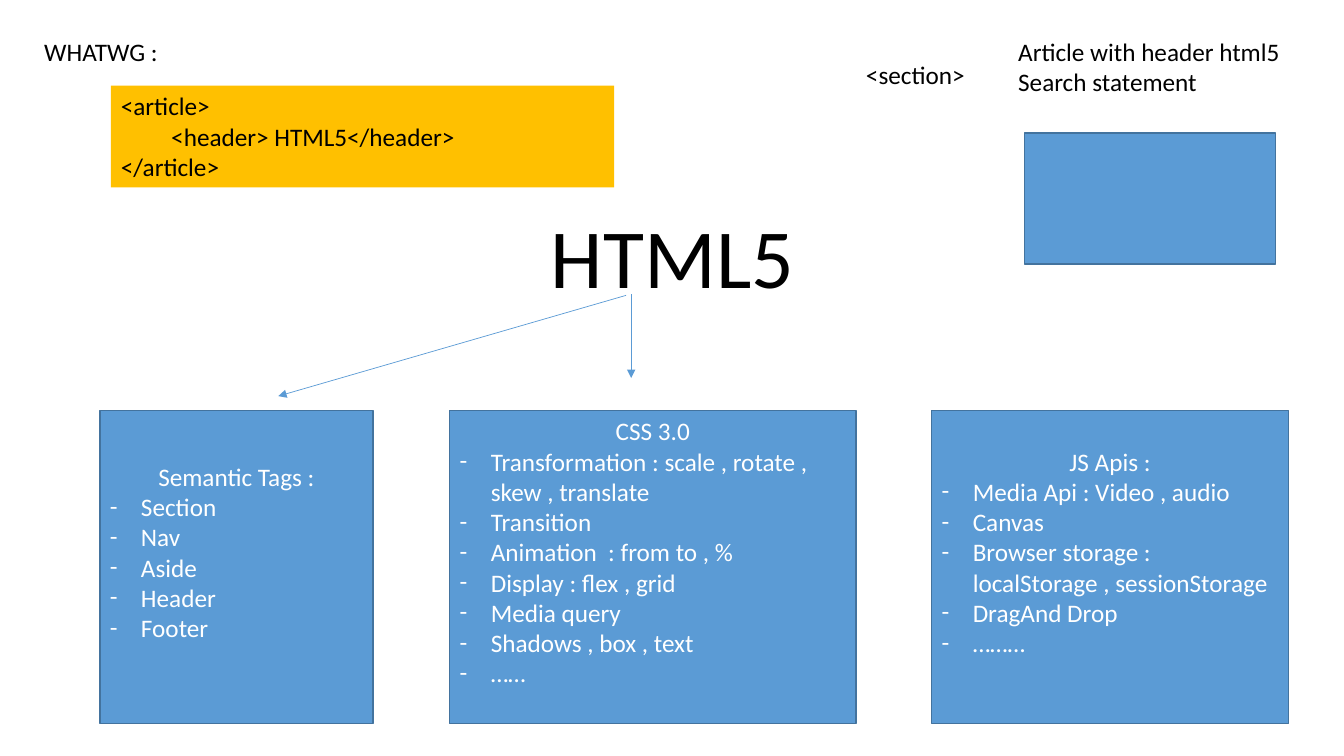
from pptx import Presentation
from pptx.dml.color import RGBColor
from pptx.enum.shapes import MSO_CONNECTOR, MSO_SHAPE
from pptx.enum.text import MSO_ANCHOR, PP_ALIGN
from pptx.oxml.ns import qn
from pptx.util import Inches, Pt
from lxml import etree

RECT, STRAIGHT = MSO_SHAPE.RECTANGLE, MSO_CONNECTOR.STRAIGHT
TOP, MIDDLE, BOTTOM = MSO_ANCHOR.TOP, MSO_ANCHOR.MIDDLE, MSO_ANCHOR.BOTTOM
LEFT, CENTER = PP_ALIGN.LEFT, PP_ALIGN.CENTER

FONT = "Calibri"
COLORS = {"blue": "5B9BD5", "edge": "43739E", "gold": "FFC000",
          "black": "000000", "white": "FFFFFF"}

# Content
TITLE = "HTML5"
CARD_TOP, CARD_HIGH = 4.07, 3.11
CARDS = [  # left, width, heading, items
    (0.99, 2.71, "Semantic Tags :",
     ["Section", "Nav", "Aside", "Header", "Footer"]),
    (4.46, 4.03, "CSS 3.0",
     ["Transformation : scale , rotate , skew , translate", "Transition",
      "Animation  : from to , %", "Display : flex , grid", "Media query",
      "Shadows , box , text", "……"]),
    (9.24, 3.54, "JS Apis :",
     ["Media Api : Video , audio", "Canvas",
      "Browser storage : localStorage , sessionStorage", "DragAnd Drop",
      "………"]),
]
LABELS = [  # box, lines
    ((8.49, 0.54, 3.29, 0.4), ["<section>"]),
    ((0.34, 0.31, 4.51, 0.71), ["WHATWG :"]),
    ((10, 0.31, 3.12, 0.71), ["Article with header html5", "Search statement"]),
]
CODE_BOX = (1.1, 0.85, 4.99, 1.01)
CODE = ["<article>", "\t<header> HTML5</header>", "</article>"]
PANEL = (10.16, 1.32, 2.49, 1.3)
ARROWS = [(6.21, 2.93, 2.76, 3.93), (6.26, 2.92, 6.26, 3.75)]

deck = Presentation()
deck.slide_width, deck.slide_height = Inches(13.33), Inches(7.5)
slide = deck.slides.add_slide(deck.slide_layouts[6])
shapes = slide.shapes


def rgb(name):
    return RGBColor.from_string(COLORS[name])


def add_rect(box, fill, edge=None):
    rect = shapes.add_shape(RECT, *map(Inches, box))
    rect.shadow.inherit = False
    rect.fill.solid()
    rect.fill.fore_color.rgb = rgb(fill)
    if edge:
        rect.line.color.rgb = rgb(edge)
        rect.line.width = Pt(1)
    else:
        rect.line.fill.background()
    return rect


def write(shape, lines, color="black", size=18, align=LEFT, anchor=TOP):
    frame = shape.text_frame
    frame.word_wrap = True
    frame.vertical_anchor = anchor
    for i, line in enumerate(lines):
        para = frame.add_paragraph() if i else frame.paragraphs[0]
        para.alignment = align
        run = para.add_run()
        run.text = line
        run.font.name, run.font.size = FONT, Pt(size)
        run.font.color.rgb = rgb(color)
    return frame


def add_dash(para):
    para.alignment = LEFT
    props = para._p.get_or_add_pPr()
    props.set("marL", str(Inches(0.31)))
    props.set("indent", str(-Inches(0.31)))
    etree.SubElement(props, qn("a:buFont")).set("typeface", FONT)
    etree.SubElement(props, qn("a:buChar")).set("char", "-")


# Title
title = shapes.add_textbox(*map(Inches, (1.67, 1.79, 10, 1.3)))
frame = write(title, [TITLE], size=60, align=CENTER, anchor=BOTTOM)
frame.paragraphs[0].line_spacing = 0.9

# Topic cards, with a line of space kept free below the list
for left, wide, head, items in CARDS:
    card = add_rect((left, CARD_TOP, wide, CARD_HIGH), "blue", "edge")
    frame = write(card, [head] + items, "white", align=CENTER, anchor=MIDDLE)
    frame.margin_bottom = Inches(0.35)
    for para in frame.paragraphs[1:]:
        add_dash(para)

# Labels
for box, lines in LABELS:
    write(shapes.add_textbox(*map(Inches, box)), lines)

# Code sample and panel
write(add_rect(CODE_BOX, "gold"), CODE)
add_rect(PANEL, "blue", "edge")

# Arrows
for ends in ARROWS:
    arrow = shapes.add_connector(STRAIGHT, *map(Inches, ends))
    arrow.line.color.rgb = rgb("blue")
    arrow.line.width = Pt(0.5)
    tip = etree.SubElement(arrow.line._get_or_add_ln(), qn("a:tailEnd"))
    tip.set("type", "triangle")
    etree.SubElement(arrow._element.spPr, qn("a:effectLst"))

deck.save("out.pptx")
